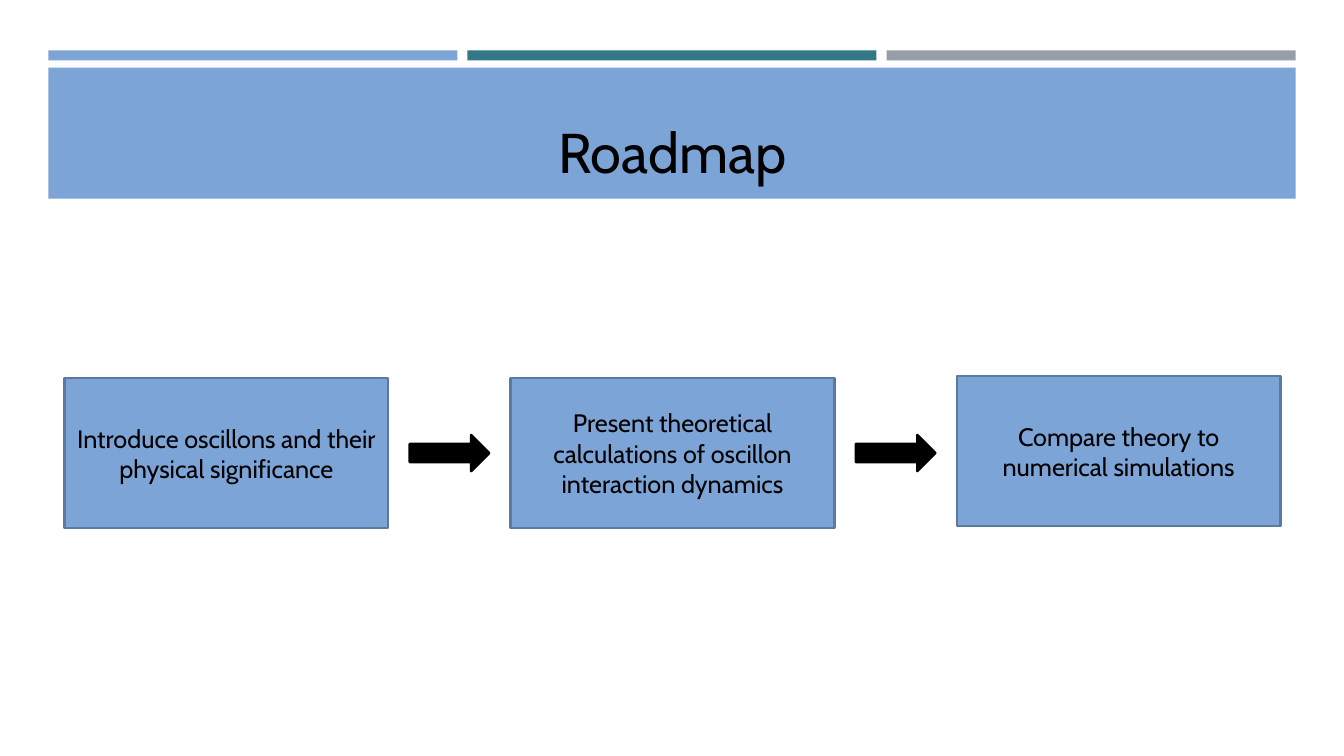
from pptx import Presentation, util as u
from pptx.dml.color import RGBColor
from pptx.enum import shapes, text

W, H = 13.33, 7.5
BLUE, TEAL, GREY, EDGE, BLACK = "7DA4D6", "327886", "969FA7", "5C799E", "000000"
STEPS = [
    "Introduce oscillons and their physical significance",
    "Present theoretical calculations of oscillon interaction dynamics",
    "Compare theory to numerical simulations",
]


def rgb(value):
    return RGBColor.from_string(value)


def add_text(s, words, size, anchor):
    tf = s.text_frame
    tf.word_wrap = True
    tf.vertical_anchor = anchor
    p = tf.paragraphs[0]
    p.alignment = text.PP_ALIGN.CENTER
    r = p.add_run()
    r.text = words
    for name, value in {"name": "Cabin", "size": u.Pt(size)}.items():
        setattr(r.font, name, value)
    r.font.color.rgb = rgb(BLACK)


def add_block(slide, box, fill, line=None, kind=shapes.MSO_SHAPE.RECTANGLE):
    s = slide.shapes.add_shape(kind, *map(u.Inches, box))
    s.shadow.inherit = False
    s.fill.solid()
    s.fill.fore_color.rgb = rgb(fill)
    if line:
        s.line.color.rgb = rgb(line)
        s.line.width = u.Pt(1.75)
    else:
        s.line.fill.background()
    return s


def draw_header(slide, x, y, w, h):
    # Three accent strips above the banner
    gap = 0.1
    strip = (w - 2 * gap) / 3
    for i, color in enumerate((BLUE, TEAL, GREY)):
        add_block(slide, (x + i * (strip + gap), y, strip, 0.1), color)

    # Banner and title
    top = y + 0.17
    add_block(slide, (x, top, w, h - 0.17), BLUE)
    box = (x + 0.16, top + 0.1, w - 0.31, h - 0.36)
    s = slide.shapes.add_textbox(*map(u.Inches, box))
    add_text(s, "Roadmap", 40, text.MSO_ANCHOR.BOTTOM)


def draw_steps(slide, x, y, w, h):
    step_w, arrow_w, arrow_h = 3.21, 0.79, 0.36
    pitch = (w - step_w) / (len(STEPS) - 1)
    gap = pitch - step_w

    # Step boxes; the last one sits slightly higher
    for i, words in enumerate(STEPS):
        lift = 0.02 if i == len(STEPS) - 1 else 0
        s = add_block(slide, (x + i * pitch, y - lift, step_w, h), BLUE, EDGE)
        add_text(s, words, 18, text.MSO_ANCHOR.MIDDLE)

    # Arrows centred in the gaps
    for i in range(len(STEPS) - 1):
        left = x + i * pitch + step_w + (gap - arrow_w) / 2
        add_block(slide, (left, y + (h - arrow_h) / 2, arrow_w, arrow_h),
                  BLACK, BLACK, shapes.MSO_SHAPE.RIGHT_ARROW)


def main():
    prs = Presentation()
    prs.slide_width, prs.slide_height = u.Inches(W), u.Inches(H)
    slide = prs.slides.add_slide(prs.slide_layouts[6])
    draw_header(slide, 0.48, 0.5, W - 0.96, 1.47)
    draw_steps(slide, 0.64, H / 2, 12.06, 1.49)
    prs.save("out.pptx")


if __name__ == "__main__":
    main()
